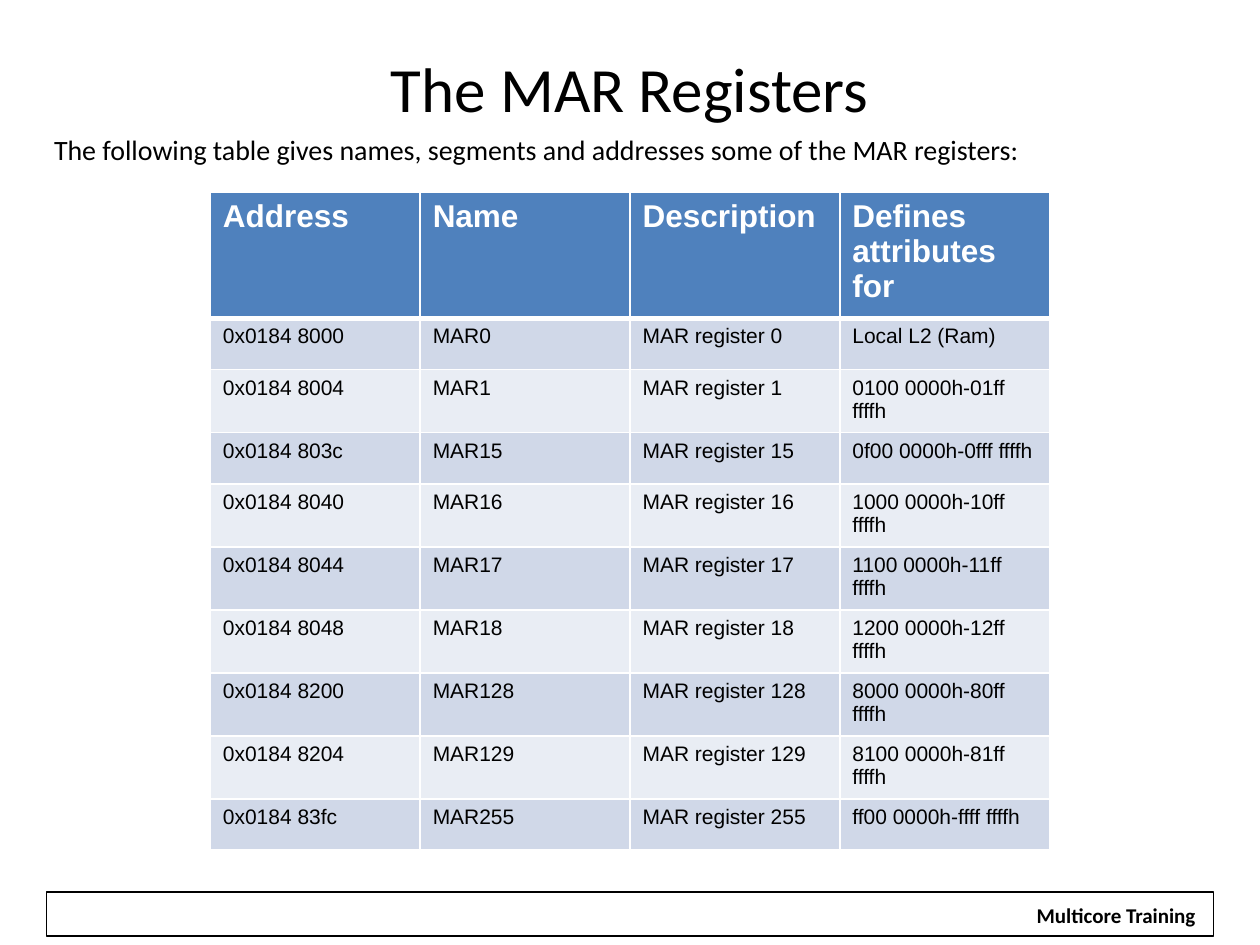
from lxml.etree import SubElement
from pptx import Presentation
from pptx.dml.color import RGBColor
from pptx.enum.text import MSO_ANCHOR, PP_ALIGN
from pptx.enum.shapes import MSO_SHAPE
from pptx.oxml.ns import qn
from pptx.util import Cm, Pt

TITLE = "The MAR Registers"
INTRO = "The following table gives names, segments and addresses some of the MAR registers:"
FOOTER = "Multicore Training"
HEADER = ("Address", "Name", "Description", "Defines attributes for")
# address, register number, memory segment
REGISTERS = [
    ("0x0184 8000", 0, "Local L2 (Ram)"),
    ("0x0184 8004", 1, "0100 0000h-01ff ffffh"),
    ("0x0184 803c", 15, "0f00 0000h-0fff ffffh"),
    ("0x0184 8040", 16, "1000 0000h-10ff ffffh"),
    ("0x0184 8044", 17, "1100 0000h-11ff ffffh"),
    ("0x0184 8048", 18, "1200 0000h-12ff ffffh"),
    ("0x0184 8200", 128, "8000 0000h-80ff ffffh"),
    ("0x0184 8204", 129, "8100 0000h-81ff ffffh"),
    ("0x0184 83fc", 255, "ff00 0000h-ffff ffffh"),
]


class Theme:
    text_font, table_font = "Calibri", "Arial"
    black, white = RGBColor(0, 0, 0), RGBColor(255, 255, 255)
    header = RGBColor(0x4F, 0x81, 0xBD)
    bands = (RGBColor(0xD0, 0xD8, 0xE8), RGBColor(0xE9, 0xED, 0xF4))
    title, intro, footer, head, body = Pt(36), Pt(16), Pt(12), Pt(18), Pt(12)
    rule, header_rule = Pt(1), Pt(3)


def write(tf, text, size, font=Theme.text_font, color=Theme.black, bold=False,
          align=PP_ALIGN.LEFT):
    tf.text = text
    p = tf.paragraphs[0]
    p.alignment = align
    p.font.name, p.font.size, p.font.bold = font, size, bold
    p.font.color.rgb = color
    return p


def set_borders(cell, top, bottom):
    tc_pr = cell._tc.get_or_add_tcPr()
    widths = {"L": Theme.rule, "R": Theme.rule, "T": top, "B": bottom}
    for side, width in widths.items():
        ln = SubElement(tc_pr, qn(f"a:ln{side}"), w=str(int(width)))
        fill = SubElement(ln, qn("a:solidFill"))
        SubElement(fill, qn("a:srgbClr"), val=str(Theme.white))


def add_footer(s):
    bar = s.shapes.add_shape(MSO_SHAPE.RECTANGLE, Cm(0.94), Cm(17.98), Cm(23.52), Cm(0.89))
    bar.shadow.inherit = False
    bar.fill.background()
    bar.line.color.rgb, bar.line.width = Theme.black, Pt(0.75)
    label = s.shapes.add_textbox(Cm(20.62), Cm(18.06), Cm(3.76), Cm(0.76))
    label.fill.solid()
    label.fill.fore_color.rgb = Theme.white
    label.text_frame.word_wrap = False
    write(label.text_frame, FOOTER, Theme.footer, bold=True, align=PP_ALIGN.CENTER)


def add_register_table(s):
    rows = [HEADER] + [(address, f"MAR{n}", f"MAR register {n}", segment)
                       for address, n, segment in REGISTERS]
    col_w, row_h = Cm(4.23), Cm(1.03)
    table = s.shapes.add_table(len(rows), len(HEADER), Cm(4.24), Cm(3.88),
                               col_w * len(HEADER), row_h * len(rows)).table
    for i, row in enumerate(rows):
        table.rows[i].height = row_h
        is_head = i == 0
        for j, text in enumerate(row):
            cell = table.cell(i, j)
            set_borders(cell, Theme.header_rule if i == 1 else Theme.rule,
                        Theme.header_rule if is_head else Theme.rule)
            cell.fill.solid()
            cell.fill.fore_color.rgb = Theme.header if is_head else Theme.bands[(i - 1) % 2]
            write(cell.text_frame, text, Theme.head if is_head else Theme.body,
                  Theme.table_font, Theme.white if is_head else Theme.black, is_head)


def main():
    prs = Presentation()
    prs.slide_width, prs.slide_height = Cm(25.4), Cm(19.05)
    s = prs.slides.add_slide(prs.slide_layouts[5])
    add_footer(s)

    title = s.shapes.title
    title.left, title.top, title.width, title.height = Cm(1.27), Cm(0.76), Cm(22.86), Cm(1.98)
    title.text_frame.vertical_anchor = MSO_ANCHOR.MIDDLE
    write(title.text_frame, TITLE, Theme.title, align=PP_ALIGN.CENTER)

    intro = s.shapes.add_textbox(Cm(0.84), Cm(2.54), Cm(22.86), Cm(1.2))
    intro.text_frame.word_wrap = True
    write(intro.text_frame, INTRO, Theme.intro).space_before = Pt(3.2)

    add_register_table(s)
    prs.save("out.pptx")


if __name__ == "__main__":
    main()
